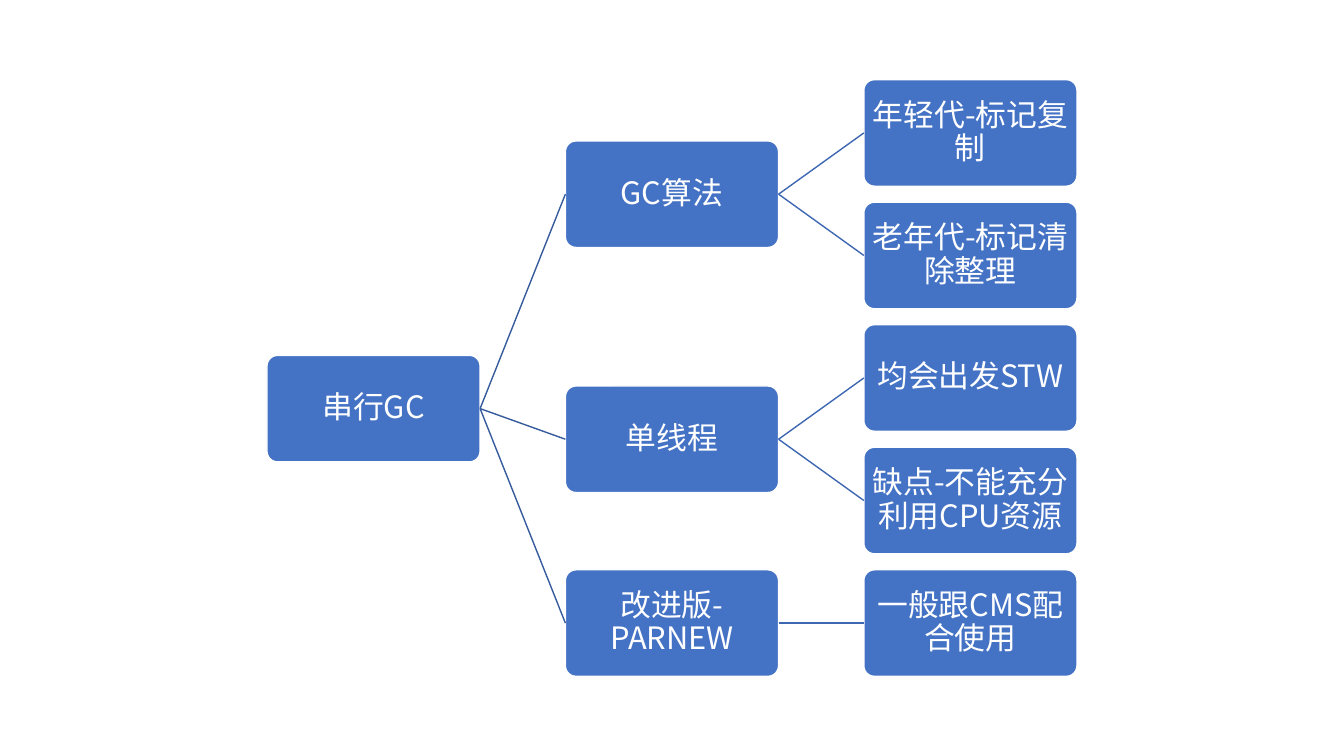
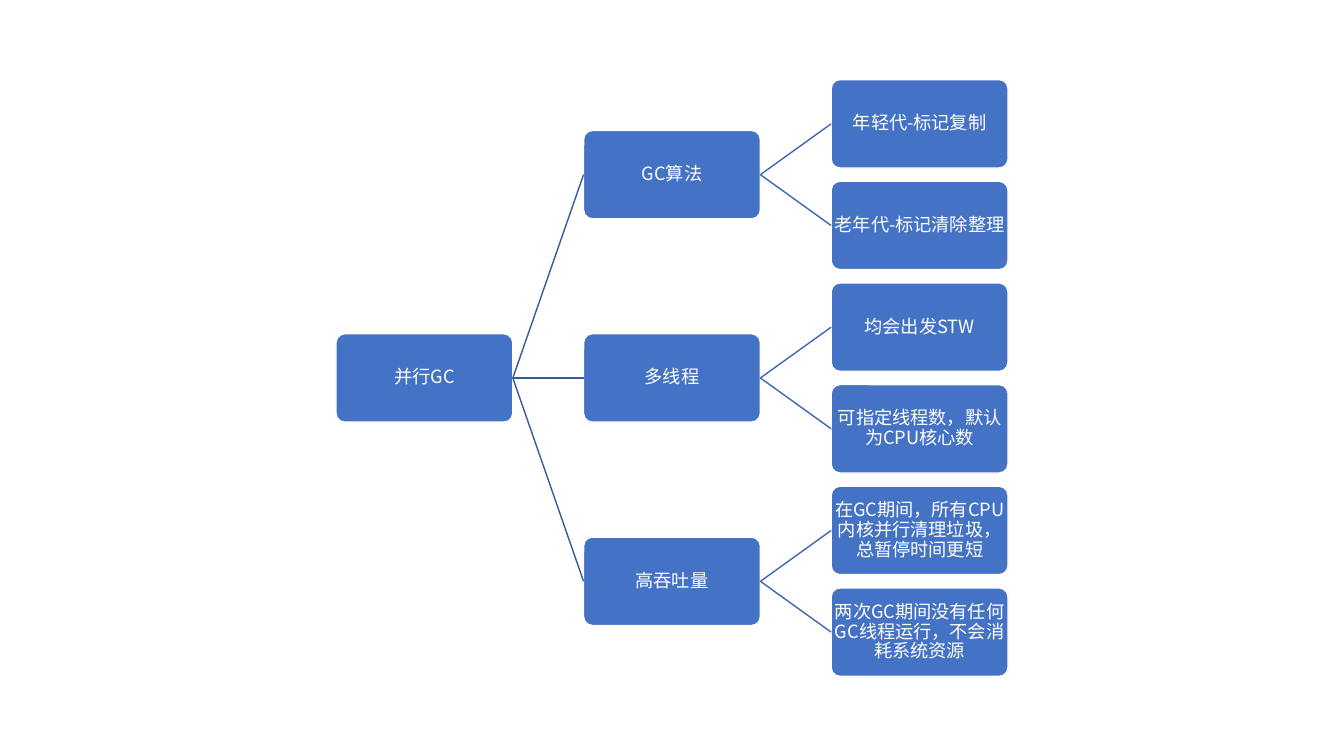
from collections.abc import Iterator
from dataclasses import dataclass
from itertools import count

from lxml import etree
from pptx import Presentation
from pptx.dml.color import RGBColor
from pptx.enum.shapes import MSO_CONNECTOR, MSO_SHAPE
from pptx.enum.text import MSO_ANCHOR, PP_ALIGN
from pptx.oxml.ns import qn
from pptx.shapes.autoshape import Shape
from pptx.slide import Slide
from pptx.util import Inches, Pt

ROUNDED = MSO_SHAPE.ROUNDED_RECTANGLE
STRAIGHT = MSO_CONNECTOR.STRAIGHT
MIDDLE = MSO_ANCHOR.MIDDLE
CENTER = PP_ALIGN.CENTER

# Shared style
FONT = "Noto Sans CJK SC"
BOX_FILL = "4472C4"
WHITE = "FFFFFF"
BRANCH_COLORS = ("365B9D", "3E67B2")  # by depth of the parent
LINE_WIDTH = Pt(1)
LEFT_SITE, RIGHT_SITE = 1, 3

# Shared layout: the leaves fill the tree height, all else follows
SLIDE_WIDTH, SLIDE_HEIGHT = 13.33, 7.5
TREE_TOP, TREE_HEIGHT = 0.79, 5.92
LEVELS = 3
ASPECT = 2  # box width / box height
ROW_PITCH = 1.15  # in box heights
COLUMN_PITCH = 1.4  # in box widths


@dataclass(frozen=True)
class Topic:
    text: str
    children: tuple["Topic", ...] = ()

    def leaf_count(self) -> int:
        return sum(child.leaf_count() for child in self.children) or 1


@dataclass(frozen=True)
class Tree:
    root: Topic
    font_size: float
    inset: float

    @property
    def box_height(self) -> float:
        return TREE_HEIGHT / (1 + ROW_PITCH * (self.root.leaf_count() - 1))

    @property
    def box_width(self) -> float:
        return ASPECT * self.box_height

    def column_left(self, depth: int) -> float:
        tree_width = self.box_width * (1 + COLUMN_PITCH * (LEVELS - 1))
        return (SLIDE_WIDTH - tree_width) / 2 + depth * COLUMN_PITCH * self.box_width

    def row_top(self, row: int) -> float:
        return TREE_TOP + row * ROW_PITCH * self.box_height


# Content
TREES = (
    Tree(
        Topic("串行GC", (
            Topic("GC算法", (Topic("年轻代-标记复制"), Topic("老年代-标记清除整理"))),
            Topic("单线程", (Topic("均会出发STW"), Topic("缺点-不能充分利用CPU资源"))),
            Topic("改进版-PARNEW", (Topic("一般跟CMS配合使用"),)),
        )),
        font_size=22,
        inset=0.02,
    ),
    Tree(
        Topic("并行GC", (
            Topic("GC算法", (Topic("年轻代-标记复制"), Topic("老年代-标记清除整理"))),
            Topic("多线程", (Topic("均会出发STW"), Topic("可指定线程数，默认为CPU核心数"))),
            Topic("高吞吐量", (
                Topic("在GC期间，所有CPU内核并行清理垃圾，总暂停时间更短"),
                Topic("两次GC期间没有任何GC线程运行，不会消耗系统资源"),
            )),
        )),
        font_size=13,
        inset=0.01,
    ),
)


def color(value: str) -> RGBColor:
    return RGBColor.from_string(value)


def write_label(box: Shape, text: str, tree: Tree) -> None:
    frame = box.text_frame
    frame.word_wrap = True
    frame.vertical_anchor = MIDDLE
    frame.margin_left = frame.margin_right = Inches(tree.inset)
    frame.margin_top = frame.margin_bottom = Inches(tree.inset)
    paragraph = frame.paragraphs[0]
    paragraph.alignment = CENTER
    paragraph.line_spacing = 0.9
    run = paragraph.add_run()
    run.text = text
    run.font.size = Pt(tree.font_size)
    run.font.name = FONT
    run.font.color.rgb = color(WHITE)
    # East Asian characters take their own typeface
    latin = run.font._element.find(qn("a:latin"))
    east_asian = etree.Element(qn("a:ea"), typeface=FONT)
    latin.addnext(east_asian)


def add_box(slide: Slide, tree: Tree, text: str, depth: int, top: int) -> Shape:
    box = slide.shapes.add_shape(
        ROUNDED, Inches(tree.column_left(depth)), top,
        Inches(tree.box_width), Inches(tree.box_height),
    )
    box.adjustments[0] = 0.1
    box.shadow.inherit = False
    box.fill.solid()
    box.fill.fore_color.rgb = color(BOX_FILL)
    box.line.color.rgb = color(WHITE)
    box.line.width = LINE_WIDTH
    write_label(box, text, tree)
    return box


def add_branch(slide: Slide, parent: Shape, child: Shape, depth: int) -> None:
    branch = slide.shapes.add_connector(STRAIGHT, 0, 0, 0, 0)
    branch.begin_connect(parent, RIGHT_SITE)
    branch.end_connect(child, LEFT_SITE)
    branch.line.color.rgb = color(BRANCH_COLORS[depth])
    branch.line.width = LINE_WIDTH
    etree.SubElement(branch._element.spPr, qn("a:effectLst"))


def add_topic(slide: Slide, tree: Tree, topic: Topic, depth: int, rows: Iterator[int]) -> Shape:
    """Draw a topic midway between its first and last child, or on the next free row."""
    children = [add_topic(slide, tree, child, depth + 1, rows) for child in topic.children]
    if children:
        top = (children[0].top + children[-1].top) // 2
    else:
        top = Inches(tree.row_top(next(rows)))
    box = add_box(slide, tree, topic.text, depth, top)
    for child in children:
        add_branch(slide, box, child, depth)
    return box


# Slides
deck = Presentation()
deck.slide_width = Inches(SLIDE_WIDTH)
deck.slide_height = Inches(SLIDE_HEIGHT)
blank_layout = deck.slide_layouts[6]
for tree in TREES:
    add_topic(deck.slides.add_slide(blank_layout), tree, tree.root, 0, count())
deck.save("out.pptx")
